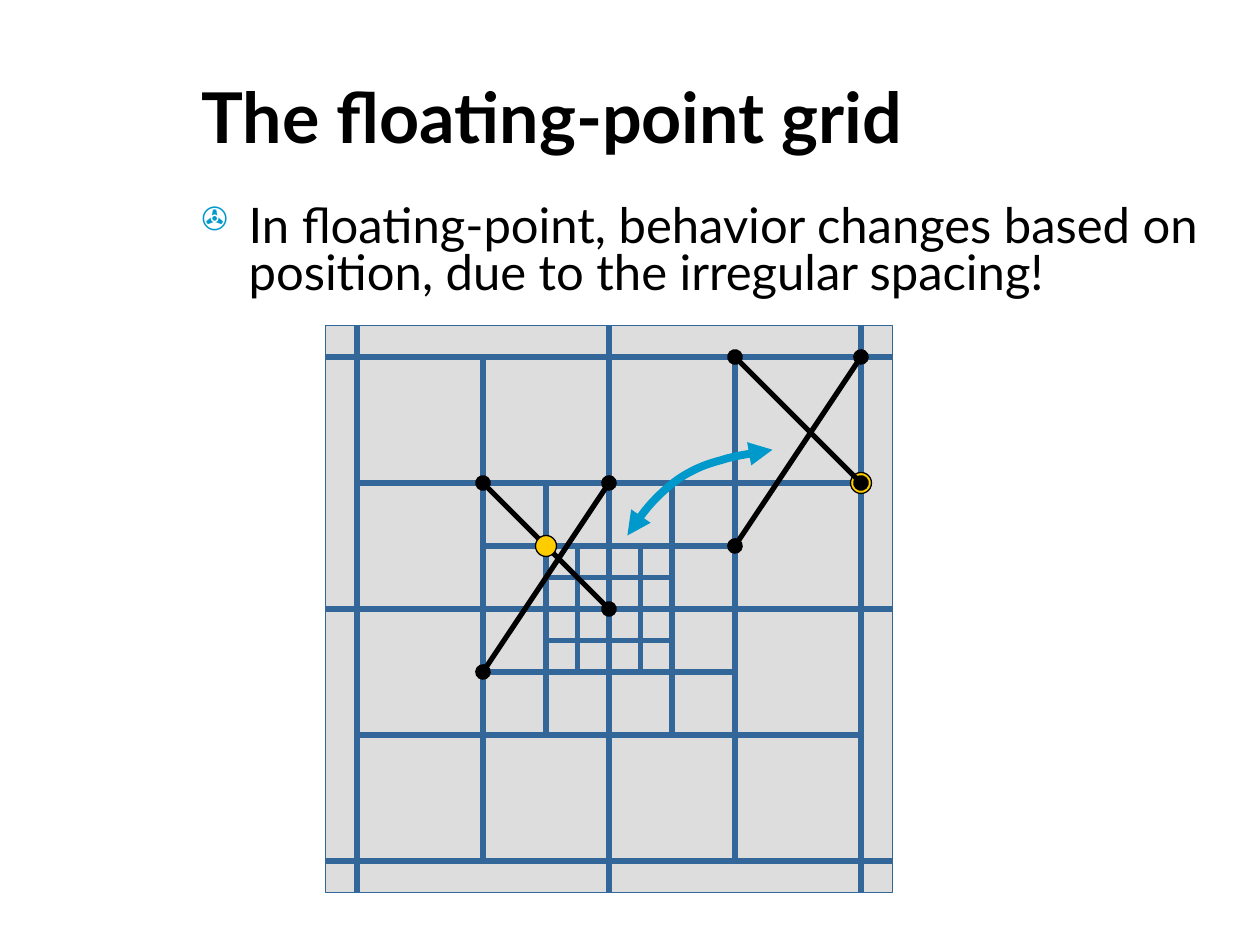
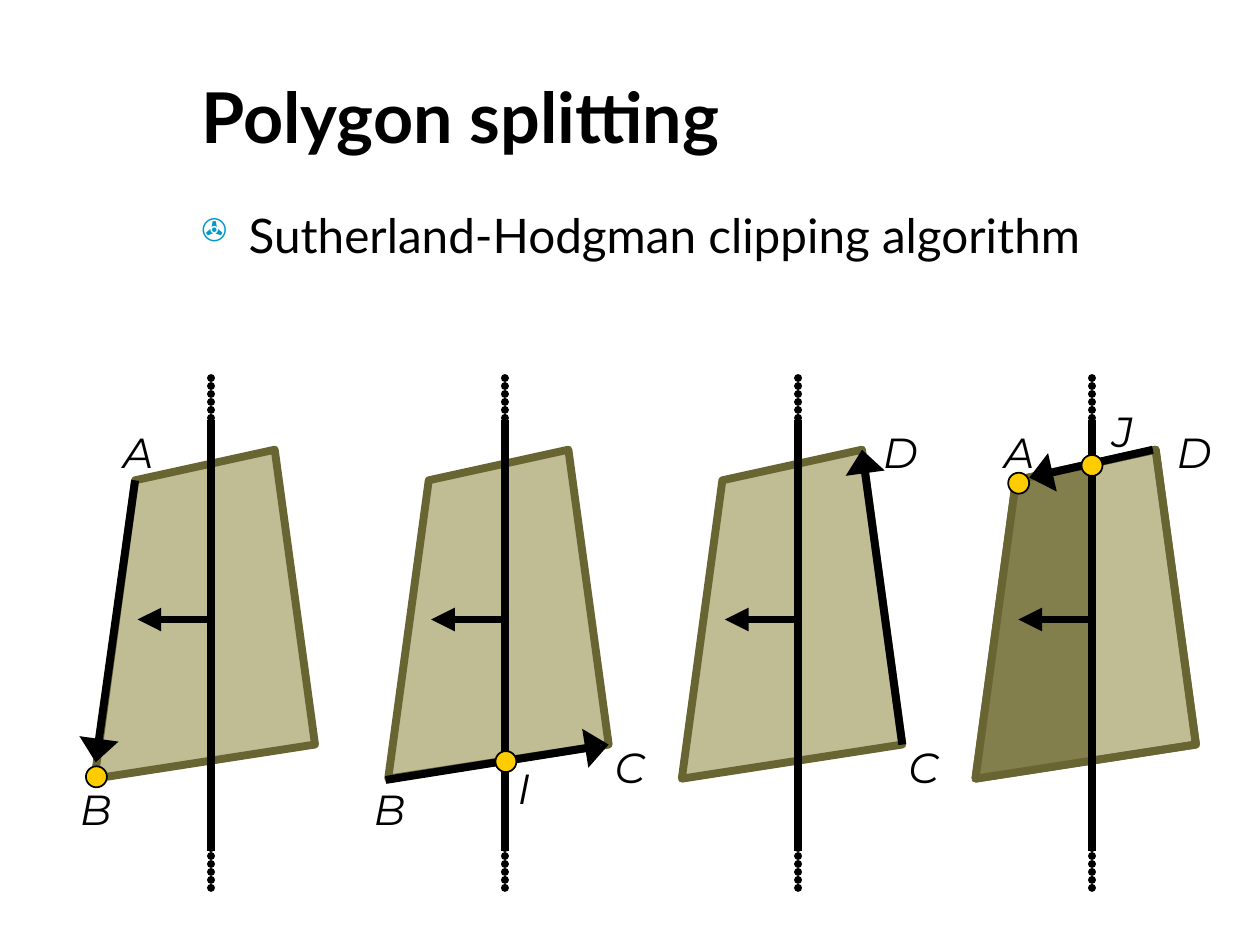
import pptx
import pptx.dml.color
import pptx.enum.shapes
import pptx.enum.text
import pptx.oxml.ns
import pptx.util
from lxml import etree

Pt = pptx.util.Pt
SHAPES = pptx.enum.shapes.MSO_SHAPE
ANCHOR = pptx.enum.text.MSO_ANCHOR
AUTO_SIZE = pptx.enum.text.MSO_AUTO_SIZE

COLORS = {"black": "000000", "bullet": "0099CC", "cell": "DDDDDD", "grid": "336699",
          "dot": "FFCC00", "polygon": "C0BC94", "edge": "686532", "clipped": "827F4C"}
TITLE_BOX = (108, 30, 594, 72)
BODY_BOX = (108, 114, 594, 61)
DOT = 12
THICK = 4.5

# Slide 1: positions on the grid count coarse cells from its centre.
GRID = {
    "title": "The floating-point grid",
    "body": "In floating-point, behavior changes based on position, "
            "due to the irregular spacing!",
    "centre": 348,
    "unit": 72,
    "margin": 18,
    "cell_sizes": (0.25, 0.5, 1),
    "axes": (2, 0, -2),
    "segments": [((1, -2), (2, -1)), ((2, -2), (1, -0.5)),
                 ((-1, -1), (0, 0)), ((0, -1), (-1, 0.5))],
    "dot_under": (2, -1),
    "dot_over": (-0.5, -0.5),
}
ARC_START = (358.5, 306)
ARC_CURVES = [((360.8, 302.6), (367.4, 292.5), (373, 286.7)),
              ((378, 281.3), (384.5, 275.5), (391, 271.6)),
              ((397.4, 267.8), (404, 265), (412, 263)),
              ((420.5, 260), (435, 258.5), (441.4, 257))]

# Slide 2: x counts from the cutting line of each panel, y from the slide top.
SPLIT = {"title": "Polygon splitting", "body": "Sutherland-Hodgman clipping algorithm"}
FIRST_CUT, PANEL_PITCH = 120.6, 167.8
VERTICES = {"A": (-43.4, 274.5), "B": (-66.6, 445), "C": (59.4, 425.5), "D": (36.4, 257)}
CLIPPED = [VERTICES["B"], (-1, 433.5), (-1, 265), VERTICES["A"]]
DOTS = {"A": (-41.9, 276.1), "B": (-65.5, 443.9), "I": (0.7, 435.2), "J": (0, 266)}
LABELS = {"A": (-57.3, 240, 28), "B": (-82, 444, 29), "C": (55.8, 420, 28),
          "D": (41.3, 240, 30), "I": (0.3, 432, 22), "J": (4.6, 228, 21)}
PANELS = [
    {"labels": "AB", "dots": "B", "arrow": (VERTICES["A"], (-65.9, 435.6))},
    {"labels": "BCI", "dots": "I", "arrow": ((-68, 445.7), VERTICES["C"])},
    {"labels": "CD", "dots": "", "arrow": (VERTICES["C"], VERTICES["D"])},
    {"labels": "ADJ", "dots": "AJ", "arrow": ((34.8, 257), (-35.8, 272.9)), "clipped": True},
]


def rgb(name):
    """Return a named colour."""
    return pptx.dml.color.RGBColor.from_string(COLORS[name])


def add_xml(parent, tag, **attributes):
    """Append a DrawingML element and return it."""
    return etree.SubElement(parent, pptx.oxml.ns.qn("a:" + tag), attributes)


def format_line(shape, color, width, dotted=False, round_join=False,
                head=None, tail=None, head_width="med"):
    """Set colour, width, dots, joins and arrowheads of a line."""
    shape.line.color.rgb = rgb(color)
    shape.line.width = Pt(width)
    line = shape.line._get_or_add_ln()
    if dotted:
        line.set("cap", "rnd")
        add_xml(add_xml(line, "custDash"), "ds", d="1000", sp="100000")
    if dotted or round_join:
        add_xml(line, "round")
    for tag, kind in (("headEnd", head), ("tailEnd", tail)):
        if kind:
            add_xml(line, tag, type=kind, w=head_width, len="med")


def format_shape(shape, fill=None, line=None, width=THICK, **line_format):
    """Set the fill and outline of a shape and drop its shadow."""
    shape.shadow.inherit = False
    if fill:
        shape.fill.solid()
        shape.fill.fore_color.rgb = rgb(fill)
    else:
        shape.fill.background()
    if line:
        format_line(shape, line, width, **line_format)
    else:
        shape.line.fill.background()


def add_box(shapes, kind, left, top, size, fill, line, width):
    """Add a preset shape with equal sides."""
    shape = shapes.add_shape(kind, Pt(left), Pt(top), Pt(size), Pt(size))
    format_shape(shape, fill, line, width)


def add_dot(shapes, centre, width):
    """Add a yellow dot around a centre."""
    x, y = centre
    add_box(shapes, SHAPES.OVAL, x - DOT / 2, y - DOT / 2, DOT, "dot", "black", width)


def add_line(shapes, start, end, color="black", width=THICK, **line_format):
    """Add a straight line between two points."""
    connector = shapes.add_connector(pptx.enum.shapes.MSO_CONNECTOR.STRAIGHT,
                                     *(Pt(value) for value in (*start, *end)))
    format_line(connector, color, width, **line_format)
    add_xml(connector._element.spPr, "effectLst")


def add_outline(shapes, points, closed=True, **shape_format):
    """Add a freeform through a list of points."""
    points = [(Pt(x), Pt(y)) for x, y in points]
    builder = shapes.build_freeform(*points[0])
    builder.add_line_segments(points[1:], close=closed)
    format_shape(builder.convert_to_shape(), **shape_format)


def write_text(shape, text, size, font="Lato", bold=False, italic=False, wrap=True,
               anchor=ANCHOR.TOP, auto_size=AUTO_SIZE.NONE, bullet=None,
               line_spacing=None, space_before=0):
    """Write one left-aligned paragraph in a shape."""
    frame = shape.text_frame
    frame.word_wrap, frame.vertical_anchor, frame.auto_size = wrap, anchor, auto_size
    paragraph = frame.paragraphs[0]
    paragraph.alignment = pptx.enum.text.PP_ALIGN.LEFT
    paragraph.space_before = Pt(space_before)
    if line_spacing:
        paragraph.line_spacing = line_spacing
    if bullet:
        properties = paragraph._p.get_or_add_pPr()
        properties.set("marL", str(Pt(27)))
        properties.set("indent", str(-Pt(27)))
        add_xml(add_xml(properties, "buClr"), "srgbClr", val=COLORS["bullet"])
        add_xml(properties, "buSzPct", val="65000")
        add_xml(properties, "buChar", char=bullet)
    run = paragraph.add_run()
    run.text = text
    run.font.name, run.font.size = font, Pt(size)
    run.font.bold, run.font.italic = bold, italic
    run.font.color.rgb = rgb("black")


def add_textbox(slide, box, text, **text_format):
    """Add a text box and write in it."""
    write_text(slide.shapes.add_textbox(*(Pt(value) for value in box)), text, **text_format)


def add_slide(presentation, content, **body_format):
    """Add a slide with its title and bulleted sentence."""
    slide = presentation.slides.add_slide(presentation.slide_layouts[5])
    title = slide.shapes.title
    title.left, title.top, title.width, title.height = (Pt(value) for value in TITLE_BOX)
    write_text(title, content["title"], 40, bold=True, anchor=ANCHOR.MIDDLE)
    add_textbox(slide, BODY_BOX, content["body"], bullet="\u2707", **body_format)
    return slide


def curve_points(start, curves, steps=8):
    """Return points along a chain of cubic curves."""
    points = [start]
    for first, second, end in curves:
        begin = points[-1]
        for step in range(1, steps + 1):
            t = step / steps
            weights = ((1 - t) ** 3, 3 * t * (1 - t) ** 2, 3 * t ** 2 * (1 - t), t ** 3)
            points.append(tuple(sum(weight * value for weight, value in zip(weights, values))
                                for values in zip(begin, first, second, end)))
    return points


def draw_grid(shapes):
    """Draw the frame, the three levels of cells and the main axes."""
    centre, unit = GRID["centre"], GRID["unit"]
    reach = 2 * unit + GRID["margin"]
    low, high = centre - reach, centre + reach
    add_box(shapes, SHAPES.RECTANGLE, low, low, 2 * reach, "cell", "grid", 0.75)
    finest = GRID["cell_sizes"][0]
    for cell in GRID["cell_sizes"]:
        for row in range(-2, 2):
            for column in range(-2, 2):
                # The middle of a level holds the next finer level.
                if cell > finest and row in (-1, 0) and column in (-1, 0):
                    continue
                size = cell * unit
                add_box(shapes, SHAPES.RECTANGLE, centre + column * size,
                        centre + row * size, size, "cell", "grid", 3)
    axes = [centre + axis * unit for axis in GRID["axes"]]
    for x in axes:
        add_line(shapes, (x, high), (x, low), "grid", 3)
    for y in axes:
        add_line(shapes, (high, y), (low, y), "grid", 3)


def draw_grid_slide(presentation):
    """Build the slide on the irregular grid."""
    slide = add_slide(presentation, GRID, size=28, line_spacing=0.8, space_before=7)
    shapes = slide.shapes

    def place(point):
        """Turn grid units into points on the slide."""
        return tuple(GRID["centre"] + value * GRID["unit"] for value in point)

    draw_grid(shapes.add_group_shape().shapes)
    add_dot(shapes, place(GRID["dot_under"]), 0.75)
    for start, end in GRID["segments"]:
        add_line(shapes, place(start), place(end), width=3, head="oval", tail="oval")
    add_outline(shapes, curve_points(ARC_START, ARC_CURVES), closed=False, line="bullet",
                round_join=True, head="triangle", tail="triangle")
    add_dot(shapes, place(GRID["dot_over"]), 0.75)


def draw_panel(slide, cut, panel):
    """Draw one step of the clipping around its cutting line."""
    shapes = slide.shapes

    def place(point):
        """Shift a point to this panel."""
        return (cut + point[0], point[1])

    polygon = [place(VERTICES[name]) for name in "BCDA"]
    add_outline(shapes, polygon, fill="polygon", line="edge", round_join=True)
    if panel.get("clipped"):
        add_outline(shapes, [place(point) for point in CLIPPED], fill="clipped")
        add_outline(shapes, polygon, line="edge", round_join=True)
    add_line(shapes, (cut, 240), (cut, 486))
    add_line(shapes, (cut, 216), (cut, 510), dotted=True)
    add_line(shapes, (cut, 354), (cut - 42, 354), tail="triangle")
    start, end = panel["arrow"]
    add_line(shapes, place(start), place(end), tail="triangle", head_width="lg")
    for name in panel["dots"]:
        add_dot(shapes, place(DOTS[name]), 1)
    for name in panel["labels"]:
        x, y, width = LABELS[name]
        add_textbox(slide, (cut + x, y, width, 36), name, size=24, font="Montserrat",
                    italic=True, wrap=False, auto_size=AUTO_SIZE.SHAPE_TO_FIT_TEXT)


def draw_split_slide(presentation):
    """Build the slide on polygon splitting."""
    slide = add_slide(presentation, SPLIT, size=27.2, space_before=8)
    for index, panel in enumerate(PANELS):
        draw_panel(slide, FIRST_CUT + index * PANEL_PITCH, panel)


presentation = pptx.Presentation()
presentation.slide_width, presentation.slide_height = Pt(720), Pt(540)
draw_grid_slide(presentation)
draw_split_slide(presentation)
presentation.save("out.pptx")
